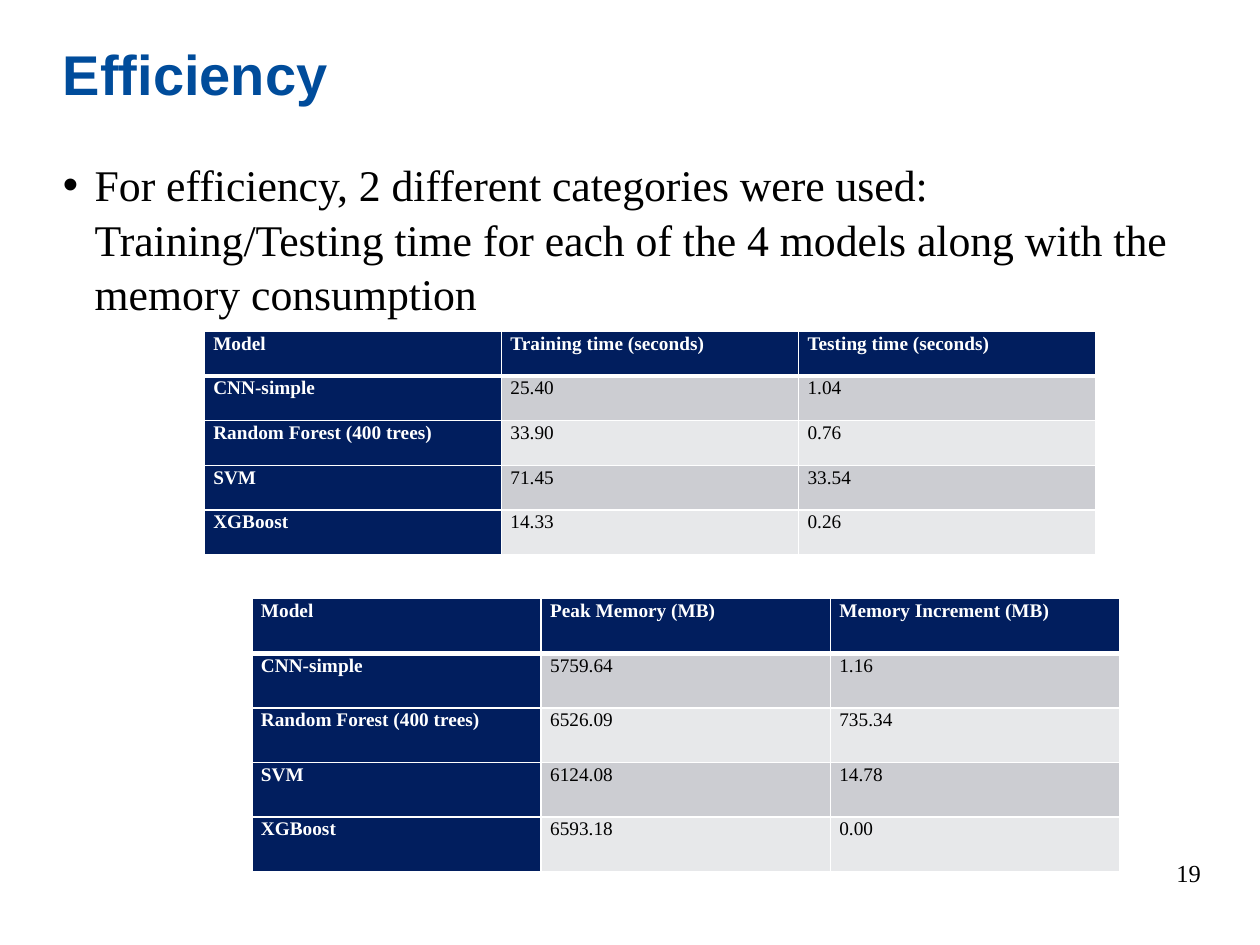
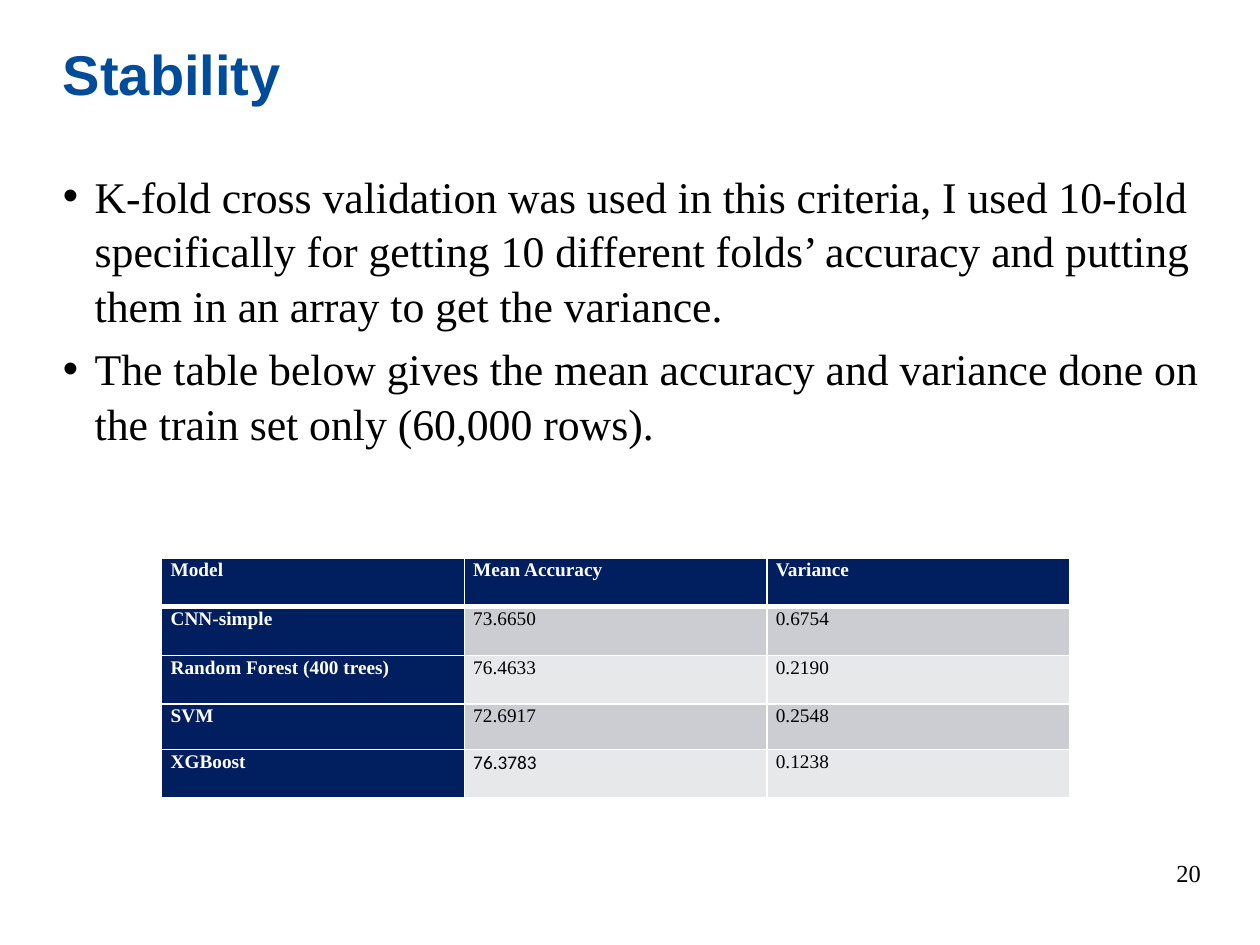
from lxml.etree import SubElement
from pptx import Presentation
from pptx.dml.color import RGBColor
from pptx.enum.text import MSO_ANCHOR, PP_ALIGN
from pptx.oxml.ns import qn
from pptx.util import Cm, Pt

# Shared colours, fonts and positions
TITLE_BLUE = RGBColor(0x00, 0x4C, 0x9B)
HEADER_NAVY = RGBColor(0x01, 0x1E, 0x5E)
BAND_DARK = RGBColor(0xCC, 0xCD, 0xD2)
BAND_LIGHT = RGBColor(0xE7, 0xE8, 0xEA)
WHITE = RGBColor(0xFF, 0xFF, 0xFF)
BLACK = RGBColor(0x00, 0x00, 0x00)
TITLE_FONT = "Arial"
BODY_FONT = "Times New Roman"
LEFT, WIDTH = Cm(1.02), Cm(23.47)
MODELS = ["CNN-simple", "Random Forest (400 trees)", "SVM", "XGBoost"]


def format_runs(paragraph, size, color, name=BODY_FONT, bold=False):
    for run in paragraph.runs:
        run.font.size = Pt(size)
        run.font.name = name
        run.font.bold = bold
        run.font.color.rgb = color


def add_text_frame(slide, left, top, width, height):
    text_frame = slide.shapes.add_textbox(left, top, width, height).text_frame
    text_frame.word_wrap = True
    return text_frame


def add_title(slide, text):
    text_frame = add_text_frame(slide, LEFT, Cm(1.09), WIDTH, Cm(1.7))
    text_frame.text = text
    paragraph = text_frame.paragraphs[0]
    paragraph.line_spacing = Pt(26.6)
    format_runs(paragraph, 32, TITLE_BLUE, TITLE_FONT, bold=True)


def add_bullet(paragraph):
    properties = paragraph._p.get_or_add_pPr()
    properties.set("marL", str(Cm(0.64)))
    properties.set("indent", str(-Cm(0.64)))
    SubElement(properties, qn("a:buFont")).set("typeface", "Arial")
    SubElement(properties, qn("a:buChar")).set("char", "•")


def add_bullets(slide, top, height, texts):
    text_frame = add_text_frame(slide, LEFT, top, WIDTH, height)
    for index, text in enumerate(texts):
        paragraph = text_frame.add_paragraph() if index else text_frame.paragraphs[0]
        paragraph.text = text
        add_bullet(paragraph)
        paragraph.line_spacing = 1.04
        if index:
            paragraph.space_before = Pt(5)
        format_runs(paragraph, 25, BLACK)


def add_slide_number(slide, number):
    text_frame = add_text_frame(slide, Cm(22.58), Cm(17.09), Cm(1.88), Cm(1.02))
    text_frame.vertical_anchor = MSO_ANCHOR.MIDDLE
    text_frame.text = str(number)
    paragraph = text_frame.paragraphs[0]
    paragraph.alignment = PP_ALIGN.RIGHT
    format_runs(paragraph, 14, BLACK)


def set_borders(cell, row_index):
    """White lines, with a thick one under the header row."""
    widths = {"a:lnL": 1, "a:lnR": 1,
              "a:lnT": 3 if row_index == 1 else 1,
              "a:lnB": 3 if row_index == 0 else 1}
    properties = cell._tc.get_or_add_tcPr()
    for position, (tag, width) in enumerate(widths.items()):
        line = SubElement(properties, qn(tag))
        line.set("w", str(Pt(width)))
        fill = SubElement(line, qn("a:solidFill"))
        SubElement(fill, qn("a:srgbClr")).set("val", str(WHITE))
        properties.insert(position, line)


def format_cell(cell, text, row_index, column_index):
    is_header = row_index == 0 or column_index == 0
    cell.margin_left = cell.margin_right = Cm(0.18)
    cell.margin_top = cell.margin_bottom = 0
    cell.fill.solid()
    band = BAND_DARK if row_index % 2 else BAND_LIGHT
    cell.fill.fore_color.rgb = HEADER_NAVY if is_header else band
    set_borders(cell, row_index)
    cell.text_frame.text = text
    paragraph = cell.text_frame.paragraphs[0]
    paragraph.line_spacing = 1.07
    paragraph.space_after = Pt(8)
    format_runs(paragraph, 11, WHITE if is_header else BLACK, bold=is_header)


def add_model_table(slide, left, top, column_width, row_heights, headings, values):
    rows = [["Model", *headings]]
    rows += [[model, *pair] for model, pair in zip(MODELS, values)]
    table = slide.shapes.add_table(
        len(rows), len(rows[0]), left, top,
        column_width * len(rows[0]), sum(row_heights)).table
    table.horz_banding = False
    for column in table.columns:
        column.width = column_width
    for row_index, (texts, height) in enumerate(zip(rows, row_heights)):
        table.rows[row_index].height = height
        for column_index, text in enumerate(texts):
            format_cell(table.cell(row_index, column_index), text,
                        row_index, column_index)
    return table


def add_content_slide(presentation, title, number):
    slide = presentation.slides.add_slide(presentation.slide_layouts[6])
    add_title(slide, title)
    add_slide_number(slide, number)
    return slide


def add_efficiency_slide(presentation):
    slide = add_content_slide(presentation, "Efficiency", 19)
    add_bullets(slide, Cm(3.02), Cm(12.78), [
        "For efficiency, 2 different categories were used: Training/Testing time "
        "for each of the 4 models along with the memory consumption"])
    add_model_table(
        slide, Cm(4.12), Cm(6.68), Cm(5.99), [Cm(0.9)] * 5,
        ["Training time (seconds)", "Testing time (seconds)"],
        [("25.40", "1.04"), ("33.90", "0.76"), ("71.45", "33.54"), ("14.33", "0.26")])
    add_model_table(
        slide, Cm(5.08), Cm(12.07), Cm(5.83), [Cm(1.1)] * 5,
        ["Peak Memory (MB)", "Memory Increment (MB)"],
        [("5759.64", "1.16"), ("6526.09", "735.34"),
         ("6124.08", "14.78"), ("6593.18", "0.00")])


def add_stability_slide(presentation):
    slide = add_content_slide(presentation, "Stability", 20)
    add_bullets(slide, Cm(3.25), Cm(12.52), [
        "K-fold cross validation was used in this criteria, I used 10-fold "
        "specifically for getting 10 different folds’ accuracy and putting them "
        "in an array to get the variance.",
        "The table below gives the mean accuracy and variance done on the train "
        "set only (60,000 rows)."])
    table = add_model_table(
        slide, Cm(3.26), Cm(11.25), Cm(6.1),
        [Cm(0.98)] * 3 + [Cm(0.92), Cm(0.98)],
        ["Mean Accuracy", "Variance"],
        [("73.6650", "0.6754"), ("76.4633", "0.2190"),
         ("72.6917", "0.2548"), ("76.3783", "0.1238")])
    # The last mean accuracy is set in another font
    format_runs(table.cell(4, 1).text_frame.paragraphs[0], 11, BLACK, "Calibri")


def main():
    presentation = Presentation()
    presentation.slide_width = Cm(25.4)
    presentation.slide_height = Cm(19.05)
    add_efficiency_slide(presentation)
    add_stability_slide(presentation)
    presentation.save("out.pptx")


if __name__ == "__main__":
    main()
